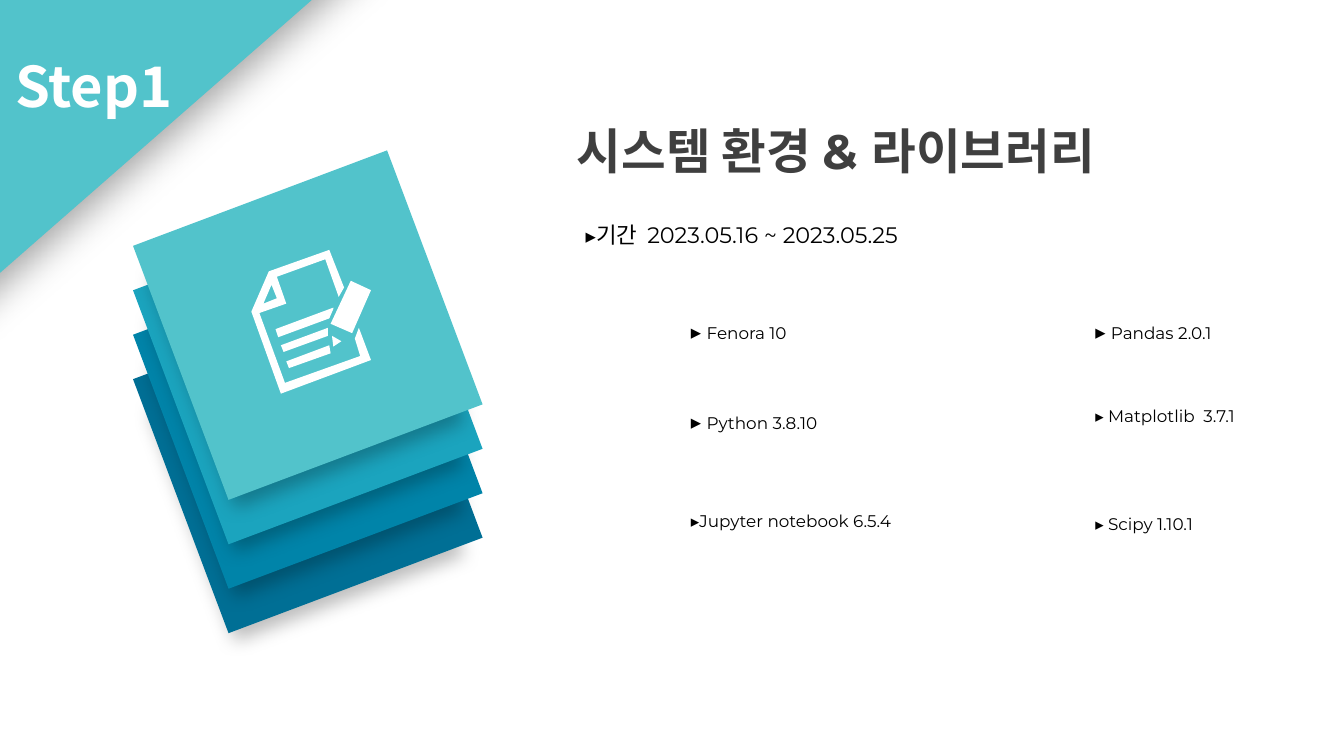
from lxml.etree import SubElement
from pptx import Presentation
from pptx.dml.color import RGBColor
from pptx.enum.shapes import MSO_SHAPE
from pptx.enum.text import MSO_ANCHOR, PP_ALIGN
from pptx.oxml.ns import qn
from pptx.util import Cm, Pt

COLORS = {
    "aqua": "52C3CB", "teal": "1BA4BE", "blue": "0084A9", "navy": "006F95",
    "heading": "3F3F3F", "text": "000000", "white": "FFFFFF", "shadow": "000000",
}
LATIN_FONT = "Montserrat"
KOREAN_FONT = "Noto Sans CJK KR"

# Outlines of the document-and-pencil icon, in hundredths of an inch
ICON_OUTLINES = [
    [(246, 241), (261, 209), (276, 216), (262, 248)],
    [(247, 250), (248, 258), (254, 254)],
    [(264, 252), (267, 244), (276, 268), (209, 293), (187, 232), (200, 202),
     (245, 186), (256, 214), (252, 221), (242, 193), (206, 206), (213, 226),
     (193, 233), (212, 285), (268, 265)],
    [(196, 226), (206, 222), (202, 212)],
    [(248, 230), (248, 229), (205, 245), (207, 251), (245, 237)],
    [(244, 244), (209, 257), (211, 262), (244, 250)],
    [(215, 274), (246, 263), (245, 257), (213, 269)],
]


def rgb(name):
    return RGBColor.from_string(COLORS[name])


def add_shadow(shape, alpha, blur, distance, angle, scale=100, align="t"):
    """Outer shadow: alpha and scale in percent, blur and distance in points."""
    effects = SubElement(shape._element.spPr, qn("a:effectLst"))
    shadow = SubElement(
        effects, qn("a:outerShdw"), blurRad=str(Pt(blur)), dist=str(Pt(distance)),
        dir=str(angle * 60000), sx=str(scale * 1000), sy=str(scale * 1000),
        algn=align, rotWithShape="0")
    color = SubElement(shadow, qn("a:srgbClr"), val=COLORS["shadow"])
    SubElement(color, qn("a:alpha"), val=str(alpha * 1000))


def add_rotated_card(slide, left, top, width, height, rotation, color):
    card = slide.shapes.add_shape(
        MSO_SHAPE.RECTANGLE, Cm(left), Cm(top), Cm(width), Cm(height))
    card.rotation = rotation
    card.fill.solid()
    card.fill.fore_color.rgb = rgb(color)
    card.line.fill.background()
    return card


def write_runs(box, runs, color="text", font=LATIN_FONT, bold=False,
               align=PP_ALIGN.LEFT, spacing=None, anchor=MSO_ANCHOR.TOP,
               inset=(0.18, 0.1)):
    """Fill a box with one paragraph made of (text, size) runs."""
    frame = box.text_frame
    frame.word_wrap = True
    frame.vertical_anchor = anchor
    frame.margin_left = frame.margin_right = Cm(inset[0])
    frame.margin_top = frame.margin_bottom = Cm(inset[1])
    paragraph = frame.paragraphs[0]
    paragraph.alignment = align
    if spacing:
        paragraph.line_spacing = spacing
    for text, size in runs:
        run = paragraph.add_run()
        run.text = text
        run.font.size = Pt(size)
        run.font.name = font
        run.font.bold = bold
        run.font.color.rgb = rgb(color)
        SubElement(run.font._element, qn("a:ea"), typeface=KOREAN_FONT)


def add_text(slide, left, top, width, height, runs, **style):
    box = slide.shapes.add_textbox(Cm(left), Cm(top), Cm(width), Cm(height))
    write_runs(box, runs, **style)


def add_heading(slide):
    heading = slide.shapes.title
    heading.left, heading.top = Cm(10.72), Cm(2.18)
    heading.width, heading.height = Cm(11.07), Cm(1.3)
    write_runs(heading, [("시스템 환경 & 라이브러리", 26)], color="heading",
               bold=True, anchor=MSO_ANCHOR.MIDDLE)


def add_step_corner(slide):
    corner = add_rotated_card(slide, -1.09, -4.88, 5.03, 10.9, 48.8, "aqua")
    add_shadow(corner, 36, 21.4, 6.8, 90)
    add_text(slide, -0.79, 0.71, 5.13, 1.8, [("Step1", 30)], color="white",
             font=KOREAN_FONT, bold=True, align=PP_ALIGN.CENTER,
             anchor=MSO_ANCHOR.MIDDLE, inset=(0.25, 0.25))


def add_card_stack(slide):
    for level, color in enumerate(["navy", "blue", "teal", "aqua"]):
        card = add_rotated_card(
            slide, 3.25, 6.1 - 0.84 * level, 5.13, 5.13, 69.4, color)
        add_shadow(card, 25, 10, 30, 130, scale=90, align="tr")


def add_document_icon(slide):
    first, *others = ICON_OUTLINES
    builder = slide.shapes.build_freeform(*first[0], scale=Cm(2.54) / 100)
    builder.add_line_segments(first[1:], close=True)
    for outline in others:
        builder.move_to(*outline[0])
        builder.add_line_segments(outline[1:], close=True)
    icon = builder.convert_to_shape()
    icon.shadow.inherit = False
    icon.fill.solid()
    icon.fill.fore_color.rgb = rgb("white")
    icon.line.fill.background()


def add_environment(slide):
    add_text(slide, 10.82, 3.71, 11.86, 0.76,
             [("▸", 11), ("기간  2023.05.16 ~ 2023.05.25", 12)],
             spacing=1.67, inset=(0.25, 0.13))
    system_left, library_left = 12.88, 20.52
    items = [
        (system_left, 5.61, [("▸ ", 11), ("Fenora 10", 9)]),
        (system_left, 7.32, [("▸ ", 11), ("Python 3.8.10", 9)]),
        (system_left, 9.3, [("▸Jupyter notebook 6.5.4", 9)]),
        (library_left, 5.61, [("▸ ", 11), ("Pandas 2.0.1", 9)]),
        (library_left, 7.32, [("▸ Matplotlib  3.7.1", 9)]),
        (library_left, 9.35, [("▸ Scipy 1.10.1", 9)]),
    ]
    for left, top, runs in items:
        add_text(slide, left, top, 4.4, 0.65, runs, spacing=1.67)


def main():
    presentation = Presentation()
    presentation.slide_width, presentation.slide_height = Cm(25.4), Cm(14.29)
    slide = presentation.slides.add_slide(presentation.slide_layouts[5])
    add_heading(slide)
    add_step_corner(slide)
    add_environment(slide)
    add_card_stack(slide)
    add_document_icon(slide)
    presentation.save("out.pptx")


if __name__ == "__main__":
    main()
